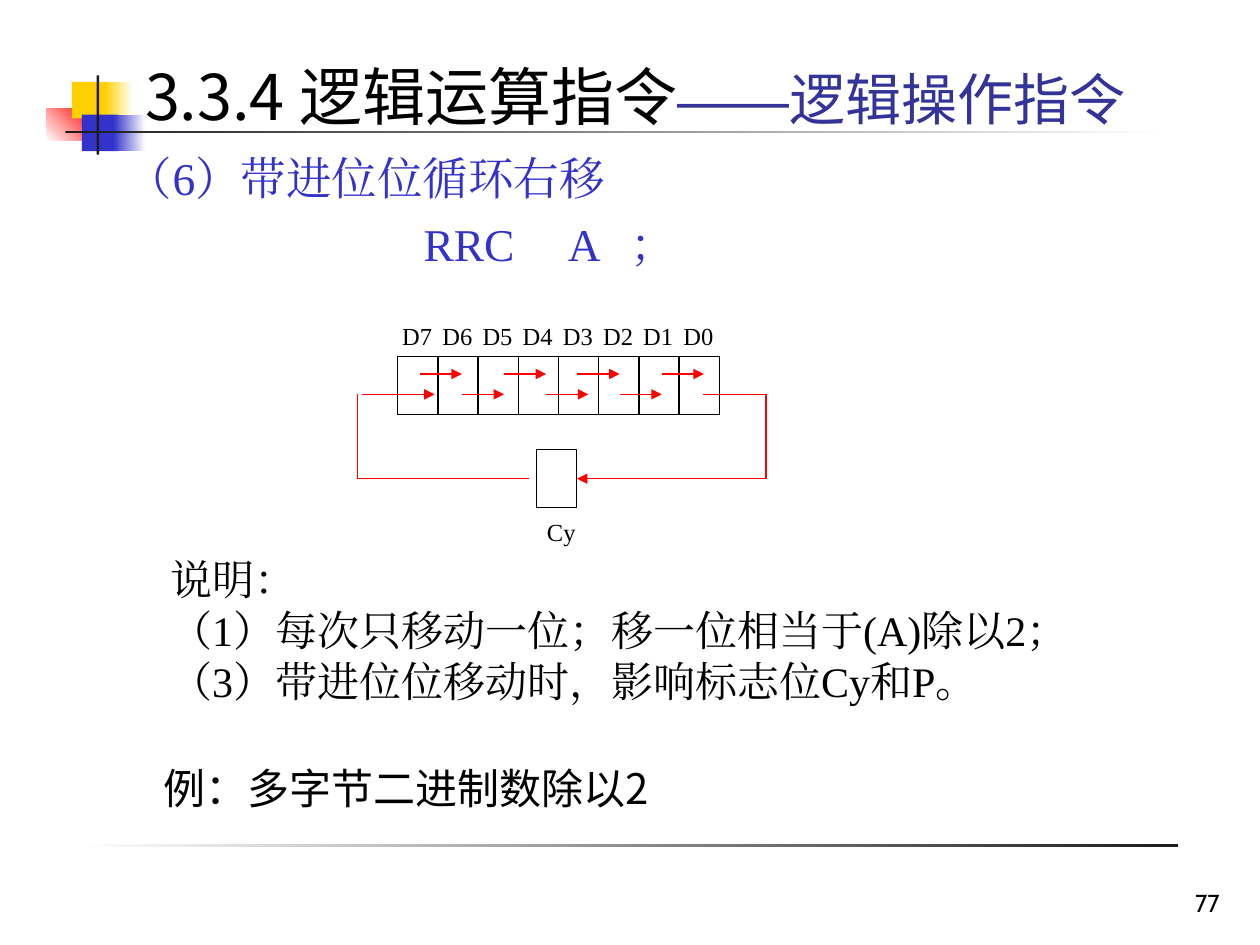
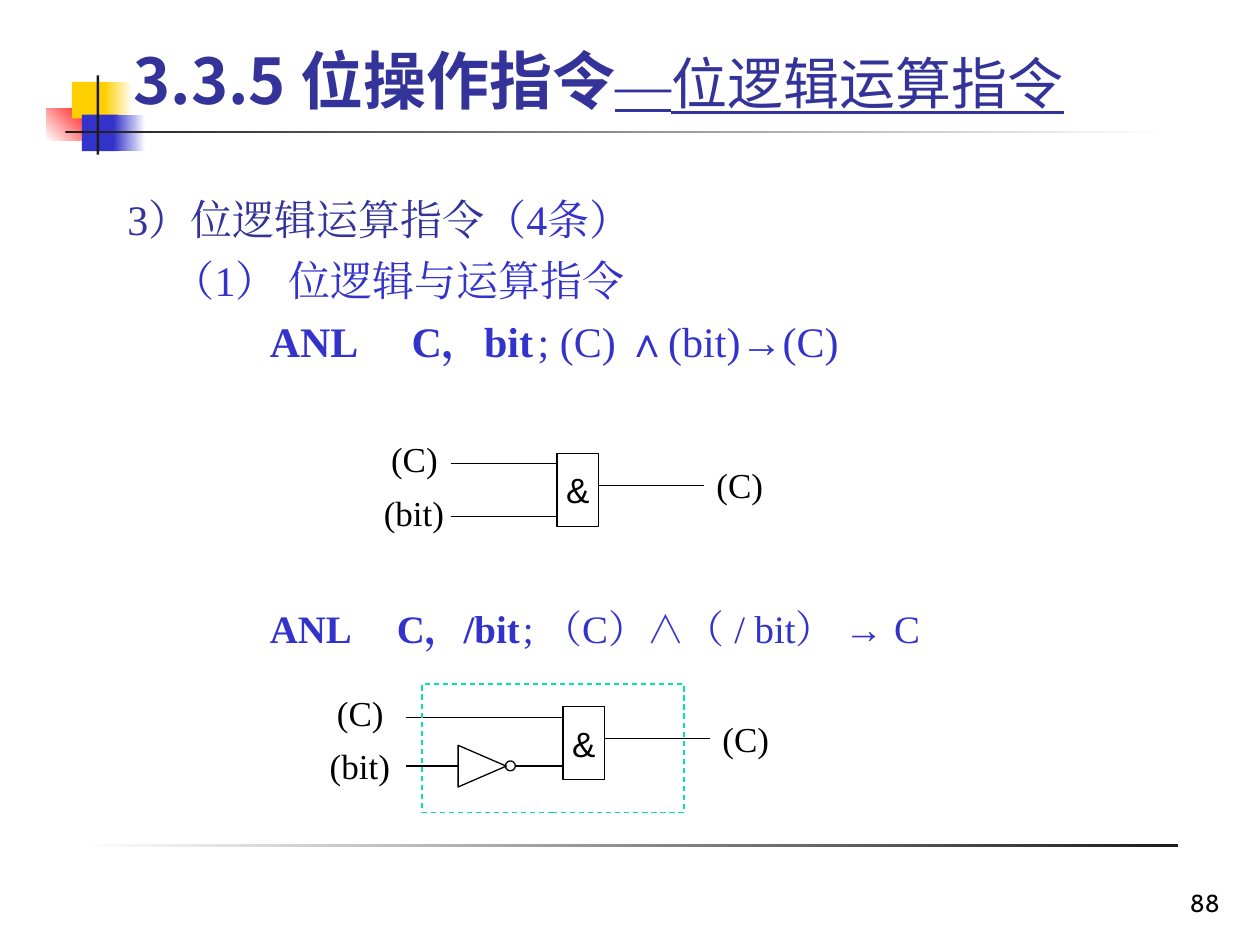
from dataclasses import dataclass, replace

import lxml.etree
import pptx
import pptx.dml.color
import pptx.enum.dml
import pptx.enum.shapes
import pptx.enum.text
import pptx.oxml.ns
import pptx.util

Cm = pptx.util.Cm
Pt = pptx.util.Pt
qn = pptx.oxml.ns.qn
Kind = pptx.enum.shapes.MSO_SHAPE
Align = pptx.enum.text.PP_ALIGN
Anchor = pptx.enum.text.MSO_ANCHOR

BLACK, INK, WHITE = "000000", "1C1C1C", "FFFFFF"
BLUE, NAVY, GOLD, RED, MINT = "3333CC", "333399", "FFCF01", "FF0000", "00E4A8"
SERIF, SANS, GOTHIC = "Times New Roman", "Arial", "Noto Sans CJK JP"


@dataclass(frozen=True)
class Look:
    size: float
    face: str = SERIF
    color: str = BLACK
    bold: bool = False
    under: bool = False


@dataclass(frozen=True)
class Para:
    """Runs of (text, look); lengths in cm, space before in points."""
    runs: tuple
    left: float = 0
    first: float = 0
    tabs: tuple = ()
    before: float = 0
    lines: float = 1
    align: Align = Align.LEFT


@dataclass(frozen=True)
class Band:
    box: tuple
    start: str
    end: str = ""
    angle: float = 0


@dataclass(frozen=True)
class Gate:
    """An AND gate: lead is where inputs start, low the depth of the second."""
    x: float
    y: float
    lead: float
    mid: float
    low: float
    spans: tuple


BANDS = (
    Band((0.94, 2.18, 0.97, 0.66), WHITE, RED, 45),
    Band((1.45, 1.65, 0.74, 0.74), GOLD),
    Band((2.11, 1.65, 0.56, 0.74), GOLD, WHITE),
    Band((1.65, 2.31, 0.74, 0.74), BLUE),
    Band((2.29, 2.31, 0.64, 0.74), BLUE, WHITE),
    Band((1.32, 2.64, 22.17, 0.05), INK, WHITE),
    Band((1.95, 1.52, 0.05, 1.6), INK),
    Band((1.57, 17.02, 22.17, 0.05), WHITE, INK),
)


def rgb(code: str):
    return pptx.dml.color.RGBColor.from_string(code)


def style(font, look: Look) -> None:
    font.name, font.size = look.face, Pt(look.size)
    font.bold, font.underline = look.bold, look.under
    font.color.rgb = rgb(look.color)
    lxml.etree.SubElement(font._rPr, qn("a:ea"), typeface=look.face)


def write(frame, paras) -> None:
    for i, para in enumerate(paras):
        p = frame.add_paragraph() if i else frame.paragraphs[0]
        p.alignment, p.line_spacing = para.align, para.lines
        p.space_before = Pt(para.before if i else 0)
        props = p._p.get_or_add_pPr()
        props.set("marL", str(Cm(para.left)))
        props.set("indent", str(Cm(para.first)))
        if para.tabs:
            stops = lxml.etree.SubElement(props, qn("a:tabLst"))
            for stop in para.tabs:
                lxml.etree.SubElement(stops, qn("a:tab"), pos=str(Cm(stop)), algn="l")
        for words, look in para.runs:
            run = p.add_run()
            run.text = words
            if len(para.runs) > 1:
                style(run.font, look)
        if len(para.runs) == 1:
            style(p.font, para.runs[0][1])


def text(slide, box: tuple, *paras: Para, wrap: bool = True, anchor=Anchor.TOP) -> None:
    frame = slide.shapes.add_textbox(*map(Cm, box)).text_frame
    frame.word_wrap, frame.vertical_anchor = wrap, anchor
    write(frame, paras)


def label(slide, box: tuple, words: str, size: float) -> None:
    text(slide, box, Para(((words, Look(size)),), align=Align.CENTER), wrap=False)


def outline(slide, box: tuple, kind=Kind.RECTANGLE, color: str = BLACK):
    shape = slide.shapes.add_shape(kind, *map(Cm, box))
    shape.shadow.inherit = False
    shape.fill.background()
    shape.line.color.rgb = rgb(color)
    shape.line.width = Pt(0.75)
    return shape


def wire(slide, x1: float, y1: float, x2: float, y2: float,
         color: str = BLACK, arrow: bool = False):
    line = slide.shapes.add_connector(
        pptx.enum.shapes.MSO_CONNECTOR.STRAIGHT, *map(Cm, (x1, y1, x2, y2)))
    line.line.color.rgb = rgb(color)
    line.line.width = Pt(0.75)
    props = line._element.spPr
    if arrow:
        lxml.etree.SubElement(props.find(qn("a:ln")), qn("a:tailEnd"), type="triangle")
    lxml.etree.SubElement(props, qn("a:effectLst"))
    return line


def paint(slide, band: Band) -> None:
    shape = slide.shapes.add_shape(Kind.RECTANGLE, *map(Cm, band.box))
    shape.shadow.inherit = False
    shape.line.fill.background()
    if not band.end:
        shape.fill.solid()
        shape.fill.fore_color.rgb = rgb(band.start)
        return
    shape.fill.gradient()
    shape.fill.gradient_angle = band.angle
    for stop, code in zip(shape.fill.gradient_stops, (band.start, band.end)):
        stop.color.rgb = rgb(code)


def begin(deck, box: tuple, runs: tuple, page: str):
    """Add a slide with its bands, page number and title."""
    slide = deck.slides.add_slide(deck.slide_layouts[5])
    for band in BANDS:
        paint(slide, band)
    text(slide, (19.56, 17.35, 5.28, 1.27),
         Para(((page, Look(14, "Cabin")),), align=Align.RIGHT), anchor=Anchor.BOTTOM)
    title = slide.shapes.title
    title.left, title.top, title.width, title.height = map(Cm, box)
    frame = title.text_frame
    frame.auto_size = pptx.enum.text.MSO_AUTO_SIZE.NONE
    frame.word_wrap, frame.vertical_anchor = True, Anchor.MIDDLE
    write(frame, [Para(runs)])
    slide.shapes._spTree.append(title._element)
    return slide


def rotate(slide) -> None:
    """Draw the register that shifts right through the carry bit."""
    left, top, step, tall = 8.02, 7.19, 0.81, 1.17
    high, low, base = 7.54, 7.95, 9.65
    west, east = 7.21, 15.44
    for i in range(8):
        x = left + step * i
        outline(slide, (x, top, step, tall))
        label(slide, (x - 0.17, 6.35, 1.12, 0.86), f"D{7 - i}", 14)
    hop = 0.85
    for i in range(7):
        x = 8.46 + hop * i - (0.22 if i > 3 else 0)
        y = low if i % 2 else high
        wire(slide, x, y, x + hop, y, RED, True)
    carry = outline(slide, (10.82, base - tall / 2, step, tall))
    label(slide, (10.77, 10.29, 1.09, 0.86), "Cy", 14)
    wire(slide, 7.29, low, 8.76, low, RED, True)
    wire(slide, 14.17, low, east, low, RED)
    wire(slide, 10.67, base, west, base, RED)
    for x in (west, east):
        wire(slide, x, low, x, base, RED)
    wire(slide, east, base, 11.63, base, RED, True).end_connect(carry, 3)


def draw(slide, gate: Gate) -> None:
    x, y, wide = gate.x, gate.y, 0.84
    frame = outline(slide, (x, y, wide, 1.47)).text_frame
    frame.word_wrap, frame.vertical_anchor = False, Anchor.MIDDLE
    write(frame, [Para((("&", Look(20, SANS)),), align=Align.CENTER)])
    wire(slide, gate.lead, y + 0.21, x, y + 0.21)
    for start, end in gate.spans:
        wire(slide, start, y + gate.low, end, y + gate.low)
    out = x + wide + 2.12
    wire(slide, x + wide, y + 0.64, out, y + 0.64)
    label(slide, (gate.mid - 0.72, y - 0.44, 1.45, 1.12), "(C)", 20)
    label(slide, (gate.mid - 0.87, y + 0.64, 1.73, 1.12), "(bit)", 20)
    label(slide, (out, y + 0.08, 1.45, 1.12), "(C)", 20)


def shift(deck) -> None:
    head = Look(36, GOTHIC)
    sub = Look(32, GOTHIC, NAVY)
    slide = begin(deck, (2.67, 1.12, 22.66, 1.6), (
        ("3.3.4 逻辑运算指令", head),
        ("——", replace(sub, face=SANS)),
        ("逻辑操作指令", sub)), "77")
    blue = Look(26, color=BLUE)
    text(slide, (2.31, 2.9, 21.39, 3.23),
         Para((("（6）带进位位循环右移", blue),)),
         Para((("RRC\tA\t；", blue),), first=5.98, tabs=(8.69, 11.53), before=6.5))
    text(slide, (3.05, 15.24, 21.59, 1.47),
         Para((("例：多字节二进制数除以2", Look(24, "Noto Sans CJK SC")),)))
    rotate(slide)
    notes = ("说明：", "（1）每次只移动一位；移一位相当于(A)除以2；",
             "（3）带进位位移动时，影响标志位Cy和P。")
    text(slide, (3.18, 11.23, 21.59, 3.38),
         *(Para(((note, Look(24)),), before=6, lines=0.8) for note in notes))


def logic(deck) -> None:
    head = Look(36, GOTHIC, NAVY, bold=True)
    sub = Look(32, GOTHIC, NAVY, under=True)
    slide = begin(deck, (2.44, 0.53, 21.13, 2.13), (
        ("3.3.5 位操作指令", head),
        ("—", replace(sub, face=SERIF)),
        ("位逻辑运算指令", sub)), "88")
    blue = Look(24, color=BLUE)
    text(slide, (1.7, 3.78, 21.59, 3.96),
         Para((("3）位逻辑运算指令", replace(blue, color=NAVY)), ("（4条）", blue)),
              first=0.62),
         Para((("（1） 位逻辑与运算指令", blue),), first=1.53, before=6),
         Para((("ANL\tC，bit", replace(blue, bold=True)),
               ("\t; (C) ∧(bit)", blue),
               ("→", replace(blue, face=SANS)),
               ("(C)", blue)), first=3.49, tabs=(6.07, 12.74), before=6))
    small = replace(blue, size=22.2)
    text(slide, (1.7, 12.07, 21.3, 1.27),
         Para((("ANL\tC，/bit", replace(small, bold=True)),
               ("\t; （C）∧（ / bit） ", small),
               ("→ ", replace(small, face=SANS)),
               ("C", small)), left=0.97, first=2.52, tabs=(4.89, 11.29)))
    draw(slide, Gate(11.23, 9.14, 9.09, 8.35, 1.27, ((9.09, 11.23),)))
    draw(slide, Gate(11.35, 14.25, 8.18, 7.26, 1.19, ((8.18, 9.25), (10.39, 11.35))))
    outline(slide, (9.3, 14.96, 0.84, 0.97), Kind.FLOWCHART_EXTRACT).rotation = 90
    outline(slide, (10.19, 15.34, 0.2, 0.2), Kind.FLOWCHART_CONNECTOR)
    block = outline(slide, (8.51, 13.79, 5.28, 2.59), color=MINT)
    block.line.dash_style = pptx.enum.dml.MSO_LINE.DASH


def main() -> None:
    deck = pptx.Presentation()
    deck.slide_width, deck.slide_height = Cm(25.4), Cm(19.05)
    shift(deck)
    logic(deck)
    deck.save("out.pptx")


if __name__ == "__main__":
    main()
